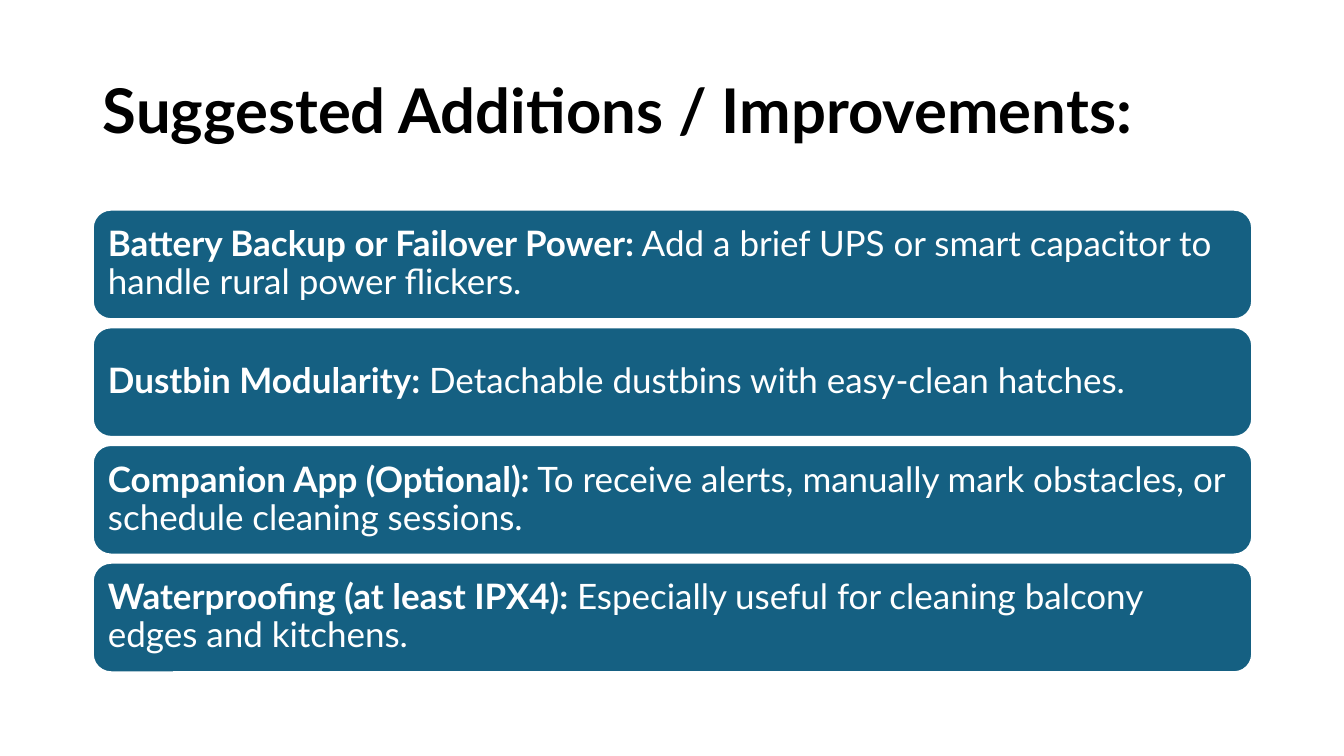
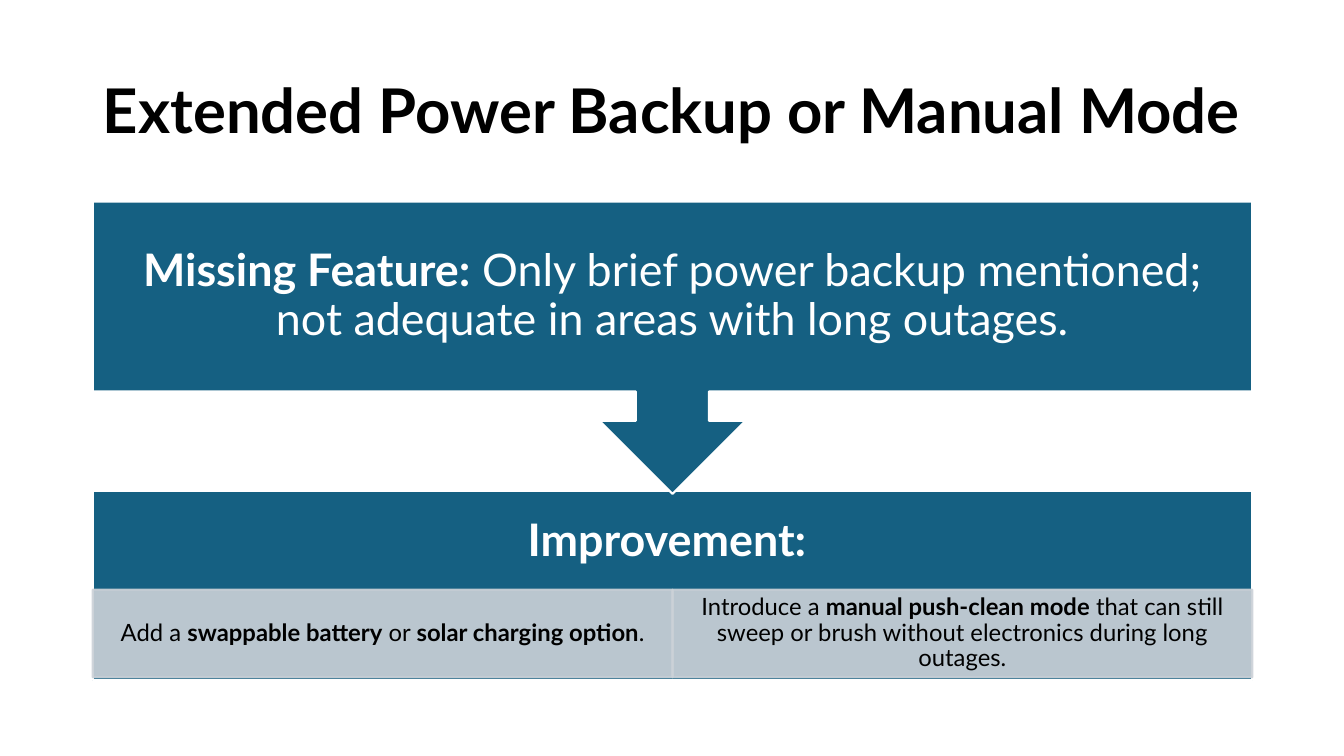
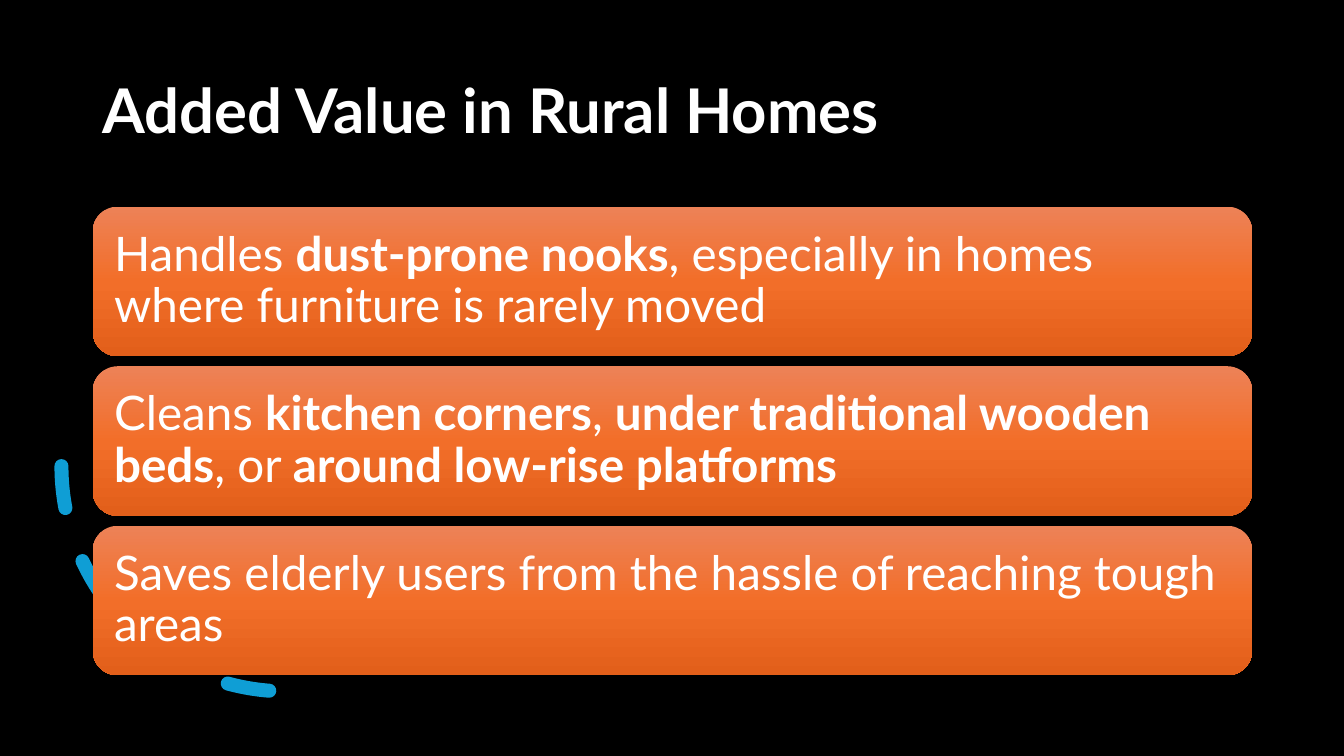
from copy import deepcopy
from dataclasses import dataclass, replace

from pptx import Presentation
from pptx.dml.color import RGBColor
from pptx.enum.dml import MSO_LINE
from pptx.enum.shapes import MSO_SHAPE
from pptx.enum.text import MSO_ANCHOR, MSO_AUTO_SIZE, PP_ALIGN
from pptx.oxml.ns import qn
from pptx.oxml.xmlchemy import OxmlElement
from pptx.shapes.autoshape import Shape
from pptx.slide import Slide
from pptx.text.text import TextFrame
from pptx.util import Inches, Pt

ROUNDED = MSO_SHAPE.ROUNDED_RECTANGLE
RECTANGLE = MSO_SHAPE.RECTANGLE
CALLOUT = MSO_SHAPE.DOWN_ARROW_CALLOUT
ARC = MSO_SHAPE.ARC
DASH = MSO_LINE.DASH
LEFT, CENTER = PP_ALIGN.LEFT, PP_ALIGN.CENTER
MIDDLE = MSO_ANCHOR.MIDDLE
NO_AUTOFIT = MSO_AUTO_SIZE.NONE

WHITE = RGBColor(0xFF, 0xFF, 0xFF)
BLACK = RGBColor(0x00, 0x00, 0x00)
TEAL = RGBColor(0x15, 0x60, 0x82)
MIST = RGBColor(0xCC, 0xD2, 0xD8)
SKY = RGBColor(0x0F, 0x9E, 0xD5)
ORANGES = (
    RGBColor(0xED, 0x82, 0x57),
    RGBColor(0xF2, 0x6E, 0x29),
    RGBColor(0xE2, 0x5F, 0x1A),
)

FONT = "Lato"
SLIDE_WIDTH, SLIDE_HEIGHT = 13.33, 7.5
TITLE_ONLY = 5


@dataclass(frozen=True)
class Area:
    """A rectangle on the slide, in inches."""

    left: float
    top: float
    width: float
    height: float

    def rows(self, count: int, gap: float = 0) -> list["Area"]:
        height = (self.height - gap * (count - 1)) / count
        return [
            replace(self, top=self.top + i * (height + gap), height=height)
            for i in range(count)
        ]

    def columns(self, count: int) -> list["Area"]:
        width = self.width / count
        return [
            replace(self, left=self.left + i * width, width=width)
            for i in range(count)
        ]

    def emu(self) -> tuple[int, int, int, int]:
        return (Inches(self.left), Inches(self.top),
                Inches(self.width), Inches(self.height))


@dataclass(frozen=True)
class BoxStyle:
    kind: MSO_SHAPE
    size: float
    fills: tuple[RGBColor, ...] = (TEAL,)
    line: RGBColor | None = WHITE
    opacity: int = 100
    color: RGBColor = WHITE
    align: PP_ALIGN = LEFT
    side: float = 0.1
    top: float = 0.1
    bottom: float = 0.1


TITLE_AREA = Area(0.92, 0.4, 11.5, 1.45)
TEAL_CARD = BoxStyle(ROUNDED, 25)
ORANGE_CARD = BoxStyle(ROUNDED, 34, fills=ORANGES, line=None,
                       side=0.14, top=0.14, bottom=0.14)
ARROW_BOX = BoxStyle(CALLOUT, 32, align=CENTER, side=0.25, top=0.25, bottom=0.25)
PANEL = replace(ARROW_BOX, kind=RECTANGLE, bottom=1.11)
OPTION = BoxStyle(RECTANGLE, 17, fills=(MIST,), line=MIST, opacity=90,
                  color=BLACK, align=CENTER, side=0.13, top=0.02, bottom=0.02)

ADDITIONS = (
    "**Battery Backup or Failover Power:** Add a brief UPS or smart capacitor "
    "to handle rural power flickers.",
    "**Dustbin Modularity:** Detachable dustbins with easy-clean hatches.",
    "**Companion App (Optional):** To receive alerts, manually mark obstacles, "
    "or schedule cleaning sessions.",
    "**Waterproofing (at least IPX4):** Especially useful for cleaning balcony "
    "edges and kitchens.",
)
MISSING = ("**Missing Feature:** Only brief power backup mentioned; "
           "not adequate in areas with long outages.")
OPTIONS = (
    "Add a **swappable battery** or **solar charging option**.",
    "Introduce a **manual push-clean mode** that can still sweep or brush "
    "without electronics during long outages.",
)
VALUES = (
    "Handles **dust-prone nooks**, especially in homes where furniture is "
    "rarely moved",
    "Cleans **kitchen corners**, **under traditional wooden beds**, or "
    "**around low-rise platforms**",
    "Saves elderly users from the hassle of reaching tough areas",
)


def write(frame: TextFrame, text: str, *, size: float, color: RGBColor,
          align: PP_ALIGN = LEFT) -> None:
    """Fill the frame with one paragraph; **marks** enclose bold words."""
    frame.word_wrap = True
    frame.auto_size = NO_AUTOFIT
    frame.vertical_anchor = MIDDLE
    para = frame.paragraphs[0]
    para.alignment = align
    para.line_spacing = 0.9
    for index, words in enumerate(text.split("**")):
        if words:
            span = para.add_run()
            span.text = words
            span.font.name = FONT
            span.font.size = Pt(size)
            span.font.bold = index % 2 == 1
            span.font.color.rgb = color


def fill_gradient(box: Shape, colors: tuple[RGBColor, ...]) -> None:
    """Spread the colours evenly from top to bottom."""
    box.fill.gradient()
    box.fill.gradient_angle = 270
    stop_list = box.element.spPr.find(f".//{qn('a:gsLst')}")
    while len(stop_list) < len(colors):
        stop_list.append(deepcopy(stop_list[0]))
    for index, (stop, color) in enumerate(zip(box.fill.gradient_stops, colors)):
        stop.color.rgb = color
        stop.position = index / (len(colors) - 1)


def set_opacity(box: Shape, percent: int) -> None:
    for color in box.element.spPr.iter(qn("a:srgbClr")):
        alpha = OxmlElement("a:alpha")
        alpha.set("val", str(percent * 1000))
        color.append(alpha)


def add_box(page: Slide, area: Area, text: str, style: BoxStyle) -> None:
    box = page.shapes.add_shape(style.kind, *area.emu())
    box.shadow.inherit = False
    if len(style.fills) > 1:
        fill_gradient(box, style.fills)
    else:
        box.fill.solid()
        box.fill.fore_color.rgb = style.fills[0]
    if style.line is None:
        box.line.fill.background()
    else:
        box.line.color.rgb = style.line
        box.line.width = Pt(1.5)
    if style.opacity < 100:
        set_opacity(box, style.opacity)
    frame = box.text_frame
    frame.margin_left = frame.margin_right = Inches(style.side)
    frame.margin_top = Inches(style.top)
    frame.margin_bottom = Inches(style.bottom)
    write(frame, text, size=style.size, color=style.color, align=style.align)


def add_boxes(page: Slide, areas: list[Area], texts: tuple[str, ...],
              style: BoxStyle) -> None:
    for area, text in zip(areas, texts):
        add_box(page, area, text, style)


def add_dashed_arc(page: Slide, area: Area) -> None:
    """Draw a quarter circle from the left side down to the bottom."""
    arc = page.shapes.add_shape(ARC, *area.emu())
    arc.shadow.inherit = False
    arc.rotation = 90
    arc.element.spPr.find(qn("a:xfrm")).set("flipV", "1")
    arc.fill.background()
    arc.line.color.rgb = SKY
    arc.line.width = Pt(10)
    arc.line.dash_style = DASH
    arc.element.spPr.find(qn("a:ln")).set("cap", "rnd")


def add_page(deck: Presentation, title: str, *, background: RGBColor = WHITE,
             color: RGBColor = BLACK) -> Slide:
    page = deck.slides.add_slide(deck.slide_layouts[TITLE_ONLY])
    page.background.fill.solid()
    page.background.fill.fore_color.rgb = background
    heading = page.shapes.title
    heading.left, heading.top, heading.width, heading.height = TITLE_AREA.emu()
    write(heading.text_frame, f"**{title}**", size=44, color=color)
    return page


def build_additions(deck: Presentation) -> None:
    page = add_page(deck, "Suggested Additions / Improvements:")
    body = replace(TITLE_AREA, top=2.08, height=4.59)
    add_boxes(page, body.rows(len(ADDITIONS), gap=0.08), ADDITIONS, TEAL_CARD)


def build_backup(deck: Presentation) -> None:
    page = add_page(deck, "Extended Power Backup or Manual Mode")
    panel = replace(TITLE_AREA, top=4.87, height=1.88)
    add_box(page, panel, "**Improvement: **", PANEL)
    options = replace(panel, top=5.85, height=0.87)
    add_boxes(page, options.columns(len(OPTIONS)), OPTIONS, OPTION)
    add_box(page, replace(panel, top=2, height=2.9), MISSING, ARROW_BOX)


def build_value(deck: Presentation) -> None:
    page = add_page(deck, "Added Value in Rural Homes",
                    background=BLACK, color=WHITE)
    add_dashed_arc(page, Area(0.61, 2.39, 4.47, 4.47))
    body = replace(TITLE_AREA, top=2.05, height=4.65)
    add_boxes(page, body.rows(len(VALUES), gap=0.1), VALUES, ORANGE_CARD)


def main() -> None:
    deck = Presentation()
    deck.slide_width = Inches(SLIDE_WIDTH)
    deck.slide_height = Inches(SLIDE_HEIGHT)
    build_additions(deck)
    build_backup(deck)
    build_value(deck)
    deck.save("out.pptx")


if __name__ == "__main__":
    main()
